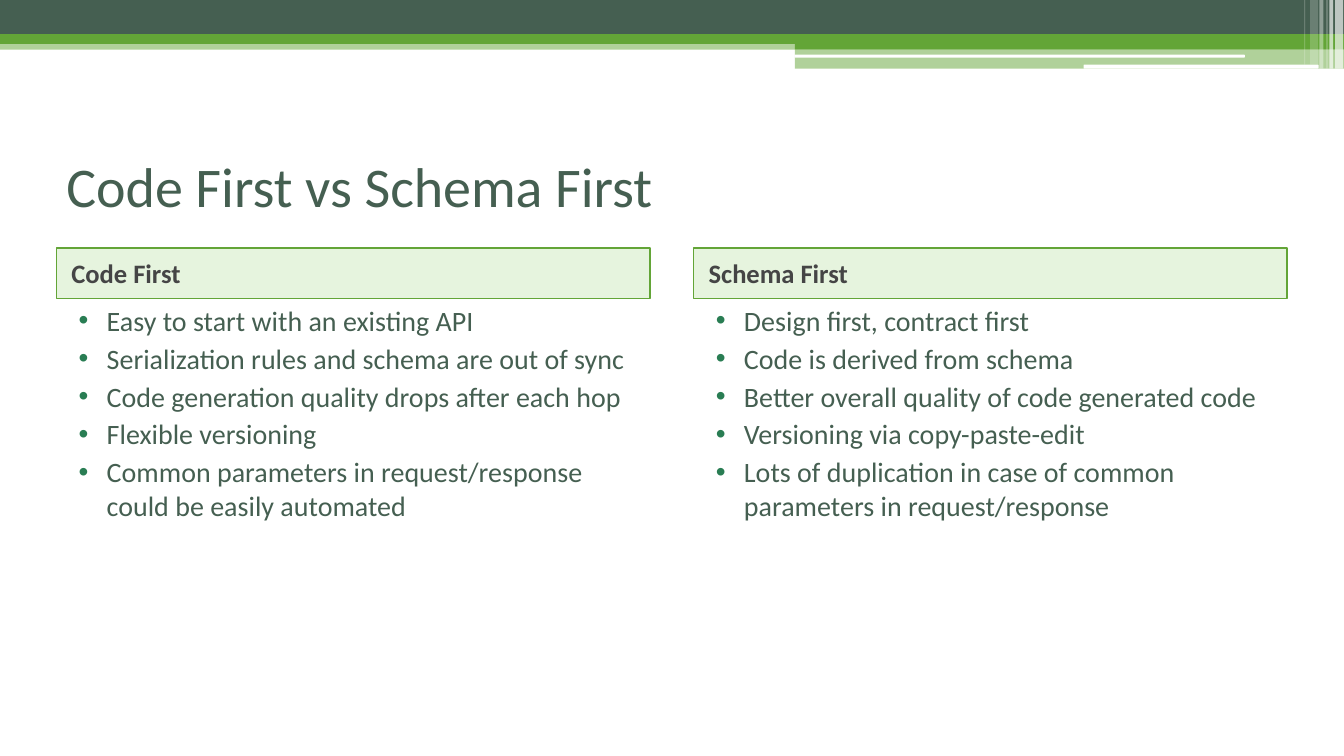
import pptx
import pptx.dml.color
import pptx.enum.shapes
import pptx.enum.text
import pptx.oxml
import pptx.oxml.ns
import pptx.util

Cm, Pt = pptx.util.Cm, pptx.util.Pt
SHAPE = pptx.enum.shapes.MSO_SHAPE
ANCHOR = pptx.enum.text.MSO_ANCHOR
ALIGN = pptx.enum.text.PP_ALIGN

FONT = "Calibri"
DARK, GREEN, PALE, WHITE = "455F51", "63A537", "9FD47D", "FFFFFF"
HEADING_TEXT, BULLET = "454545", "297D53"

TITLE = "Code First vs Schema First"
COLUMNS = [
    ("Code First", [
        "Easy to start with an existing API",
        "Serialization rules and schema are out of sync",
        "Code generation quality drops after each hop",
        "Flexible versioning",
        "Common parameters in request/response could be easily automated",
    ]),
    ("Schema First", [
        "Design first, contract first",
        "Code is derived from schema",
        "Better overall quality of code generated code",
        "Versioning via copy-paste-edit",
        "Lots of duplication in case of common parameters in request/response",
    ]),
]

# Lengths in centimetres
SLIDE_WIDTH, SLIDE_HEIGHT = 33.87, 19.05
MARGIN, COLUMN_WIDTH, COLUMN_STEP = 1.42, 14.96, 16.06
HEADING_TOP, HEADING_HEIGHT, LIST_HEIGHT = 6.25, 1.27, 10.8
BAND_SPLIT = 20.03

# left, top, width, height, colour, opacity in percent
BANDS = [
    (0, 1.02, SLIDE_WIDTH, 0.23, GREEN, 50),
    (0, 0, SLIDE_WIDTH, 0.86, DARK, 100),
    (0, 0.86, SLIDE_WIDTH, 0.25, GREEN, 100),
    (BAND_SPLIT, 0.99, SLIDE_WIDTH - BAND_SPLIT, 0.25, GREEN, 100),
    (BAND_SPLIT, 1.23, SLIDE_WIDTH - BAND_SPLIT, 0.5, GREEN, 50),
]
# left, top, width, height
GAPS = [(20.02, 1.38, 11.35, 0.07), (27.31, 1.63, 5.92, 0.1)]
# left, width, height, opacity in percent
STRIPES = [
    (33.65, 0.2, 1.73, 65),
    (33.5, 0.1, 1.73, 65),
    (33.43, 0.02, 1.73, 60),
    (33.25, 0.1, 1.73, 40),
    (33.02, 0.2, 1.63, 20),
    (32.87, 0.02, 1.63, 30),
]


def rgb(value):
    return pptx.dml.color.RGBColor.from_string(value)


def add_block(left, top, width, height, color, opacity=100, kind=SHAPE.RECTANGLE):
    shape = slide.shapes.add_shape(kind, Cm(left), Cm(top), Cm(width), Cm(height))
    shape.shadow.inherit = False
    shape.line.fill.background()
    shape.fill.solid()
    shape.fill.fore_color.rgb = rgb(color)
    if opacity < 100:
        color_element = shape.fill._xPr.find(".//" + pptx.oxml.ns.qn("a:srgbClr"))
        alpha = pptx.oxml.parse_xml(
            f'<a:alpha {pptx.oxml.ns.nsdecls("a")} val="{opacity * 1000}"/>')
        color_element.append(alpha)
    return shape


def write(paragraph, text, size, color, bold=False):
    paragraph.alignment = ALIGN.LEFT
    run = paragraph.add_run()
    run.text = text
    run.font.name = FONT
    run.font.size = Pt(size)
    run.font.bold = bold
    run.font.color.rgb = rgb(color)


def set_bullet(paragraph):
    properties = paragraph._p.get_or_add_pPr()
    properties.set("marL", str(Cm(1.02)))
    properties.set("indent", str(Cm(-0.71)))
    namespace = pptx.oxml.ns.nsdecls("a")
    for xml in (
        f'<a:buClr {namespace}><a:srgbClr val="{BULLET}"/></a:buClr>',
        f'<a:buFont {namespace} typeface="Arial"/>',
        f'<a:buChar {namespace} char="•"/>',
    ):
        properties.append(pptx.oxml.parse_xml(xml))


def add_heading(left, text):
    heading = add_block(left, HEADING_TOP, COLUMN_WIDTH, HEADING_HEIGHT, PALE, 25)
    heading.line.color.rgb = rgb(GREEN)
    heading.line.width = Pt(1)
    frame = heading.text_frame
    frame.vertical_anchor = ANCHOR.MIDDLE
    paragraph = frame.paragraphs[0]
    paragraph.space_before = Pt(3)
    paragraph._p.get_or_add_pPr().set("marL", str(Cm(0.13)))
    write(paragraph, text, 19, HEADING_TEXT, bold=True)


def add_list(left, items):
    box = slide.shapes.add_textbox(Cm(left), Cm(HEADING_TOP + HEADING_HEIGHT),
                                   Cm(COLUMN_WIDTH), Cm(LIST_HEIGHT))
    frame = box.text_frame
    frame.word_wrap = True
    for index, item in enumerate(items):
        paragraph = frame.add_paragraph() if index else frame.paragraphs[0]
        paragraph.space_before = Pt(3)
        set_bullet(paragraph)
        write(paragraph, item, 20, DARK)


presentation = pptx.Presentation()
presentation.slide_width, presentation.slide_height = Cm(SLIDE_WIDTH), Cm(SLIDE_HEIGHT)
slide = presentation.slides.add_slide(presentation.slide_layouts[5])

for band in BANDS:
    add_block(*band)
for gap in GAPS:
    add_block(*gap, WHITE, kind=SHAPE.ROUNDED_RECTANGLE)
for left, width, height, opacity in STRIPES:
    add_block(left, 0, width, height, WHITE, opacity)

title = slide.shapes.title
title.left, title.top, title.width, title.height = Cm(MARGIN), Cm(3.18), Cm(31.04), Cm(2.97)
title.text_frame.vertical_anchor = ANCHOR.MIDDLE
write(title.text_frame.paragraphs[0], TITLE, 40, DARK)

for column, (heading, items) in enumerate(COLUMNS):
    column_left = MARGIN + column * COLUMN_STEP
    add_heading(column_left, heading)
    add_list(column_left, items)

presentation.save("out.pptx")
